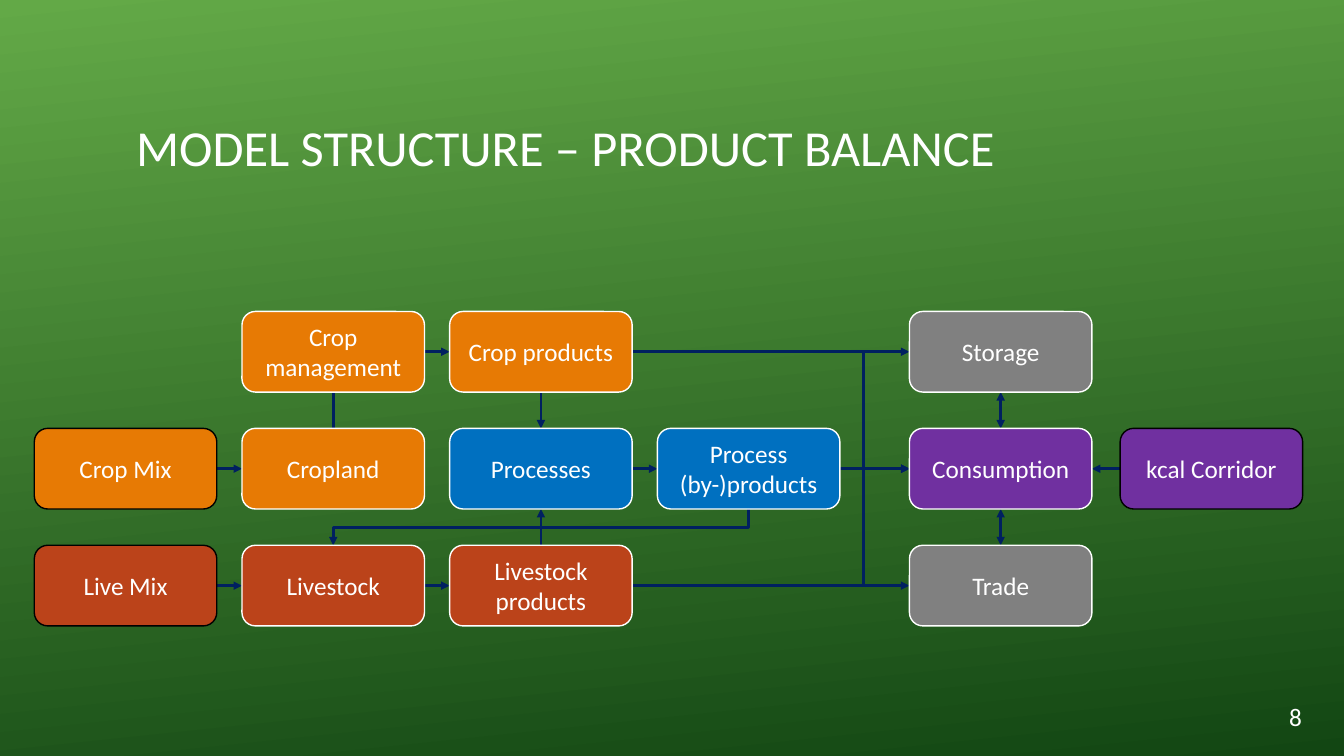
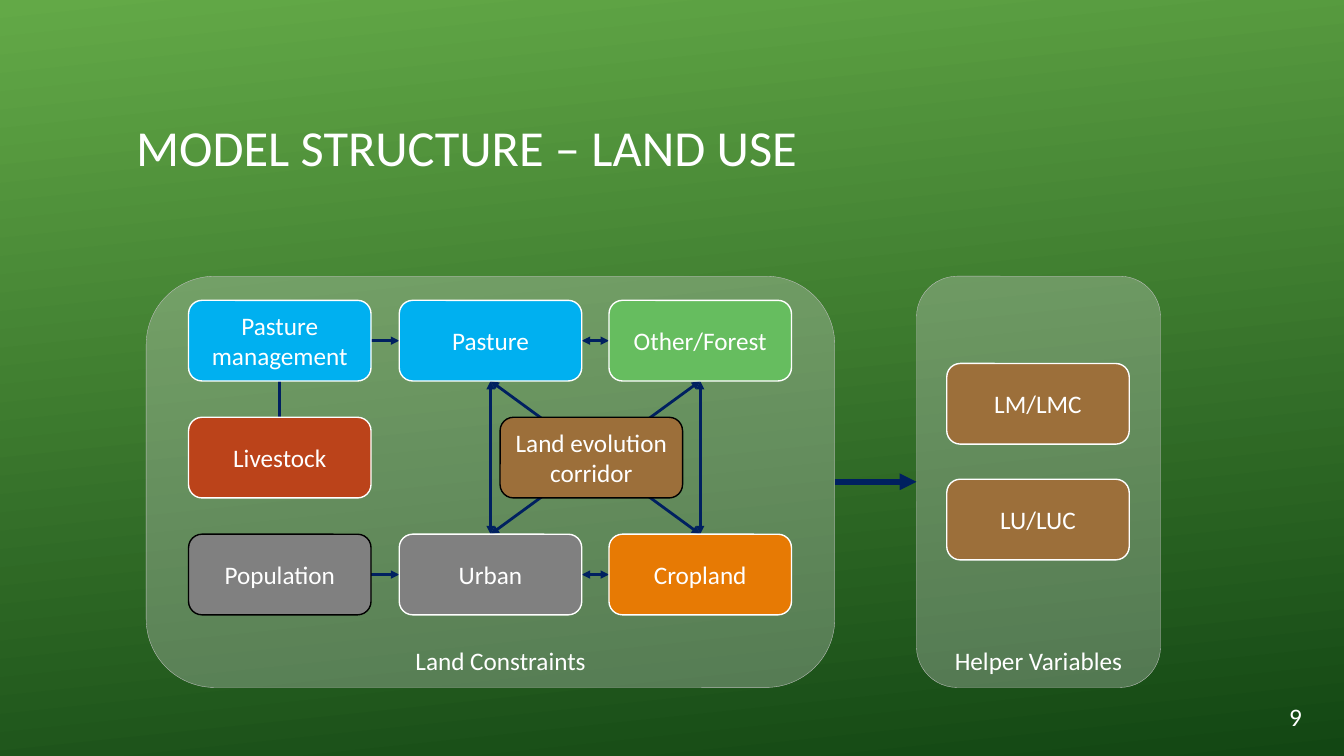
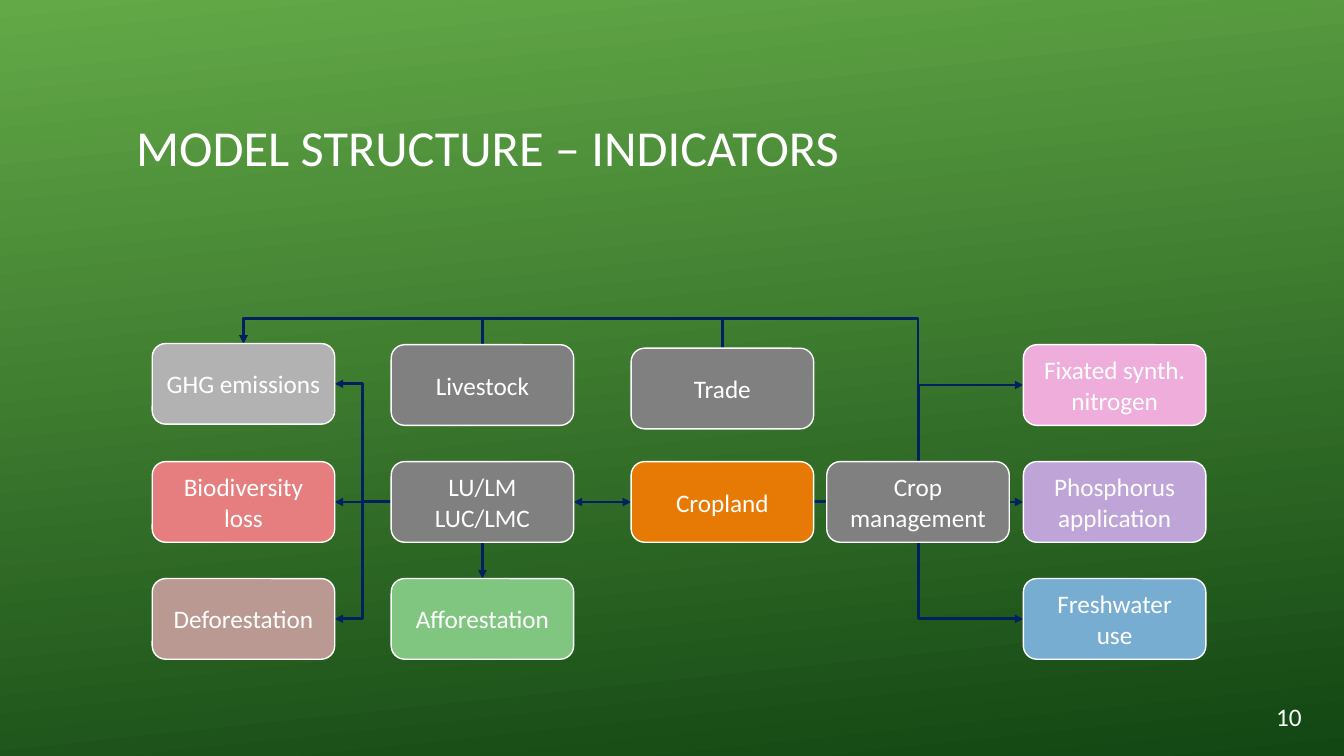
"""Build three flow diagrams of a land and food model."""
from lxml.etree import SubElement as Sub
from pptx import Presentation
from pptx.dml.color import RGBColor as RGB
from pptx.enum.shapes import MSO_CONNECTOR as Link, MSO_SHAPE as Form
from pptx.enum.text import MSO_ANCHOR as Anchor, PP_ALIGN as Align
from pptx.oxml.ns import qn
from pptx.util import Inches, Pt


class Theme:
    font = "Calibri"
    title, body = 36, 18
    top, base = "63A947", "124613"
    white, black, navy = "FFFFFF", "000000", "002060"
    pane, rim = "D9D9D9", "BFBFBF"
    orange, rust, gray, brown = "E77A04", "BB431A", "808080", "9C6F3A"
    blue, purple, sky, leaf = "0070C0", "7030A0", "00B0F0", "66BD5F"
    coral, pink, lilac, water = "E67D7E", "EEADDA", "BEA4D7", "78ADD2"
    clay, mint, silver = "BA9993", "80C680", "B2B2B2"


WIDE, HIGH, STEP = 1.81, 0.8, 1.16
SIDES = "TLBR"

DECK = [
    {
        "title": "MODEL STRUCTURE – PRODUCT BALANCE",
        "cols": (0.34, 2.4, 4.46, 6.52, 9.02, 11.11),
        "top": 3.09,
        "boxes": [
            ("Crop management", 1, 0, Theme.orange),
            ("Crop products", 2, 0, Theme.orange),
            ("Storage", 4, 0, Theme.gray),
            ("Crop Mix", 0, 1, Theme.orange),
            ("Cropland", 1, 1, Theme.orange),
            ("Processes", 2, 1, Theme.blue),
            ("Process\n(by-)products", 3, 1, Theme.blue),
            ("Consumption", 4, 1, Theme.purple),
            ("kcal Corridor", 5, 1, Theme.purple),
            ("Live Mix", 0, 2, Theme.rust),
            ("Livestock", 1, 2, Theme.rust),
            ("Livestock products", 2, 2, Theme.rust),
            ("Trade", 4, 2, Theme.gray),
        ],
        "dark": ("Crop Mix", "Live Mix", "kcal Corridor"),
        "wires": [
            ("Cropland", "Crop management", "TB", "", None),
            ("Crop management", "Crop products", "RL", ">", None),
            ("Crop Mix", "Cropland", "RL", ">", None),
            ("Live Mix", "Livestock", "RL", ">", None),
            ("Livestock", "Livestock products", "RL", ">", None),
            ("Livestock products", "Processes", "TB", ">", None),
            ("Crop products", "Processes", "BT", ">", None),
            ("Processes", "Process\n(by-)products", "RL", ">", None),
            ("Process\n(by-)products", "Livestock", "BT", ">", 5.23),
            ("Process\n(by-)products", "Consumption", "RL", ">", None),
            ("Crop products", "Storage", "RL", ">", None),
            ("Livestock products", "Trade", "RL", ">", None),
            ("Crop products", "Consumption", "RL", ">", 8.56),
            ("Livestock products", "Consumption", "RL", ">", 8.56),
            ("Storage", "Consumption", "BT", "<>", None),
            ("Consumption", "Trade", "BT", "<>", None),
            ("kcal Corridor", "Consumption", "LR", ">", None),
        ],
    },
    {
        "title": "MODEL STRUCTURE – LAND USE",
        "cols": (1.87, 3.96, 6.04, 4.96, 9.39),
        "top": 2.98,
        "panes": [
            ("Land Constraints", 1.45, 6.83, 1.42, 7.09),
            ("Helper Variables", 9.09, 2.42, 8.97, 2.66),
        ],
        "boxes": [
            ("Pasture management", 0, 0, Theme.sky),
            ("Pasture", 1, 0, Theme.sky),
            ("Other/Forest", 2, 0, Theme.leaf),
            ("Livestock", 0, 1, Theme.rust),
            ("Land evolution corridor", 3, 1, Theme.brown),
            ("Population", 0, 2, Theme.gray),
            ("Urban", 1, 2, Theme.gray),
            ("Cropland", 2, 2, Theme.orange),
            ("LM/LMC", 4, 0.54, Theme.brown),
            ("LU/LUC", 4, 1.53, Theme.brown),
        ],
        "dark": ("Land evolution corridor", "Population"),
        "wires": [
            ("Livestock", "Pasture management", "TB", "", None),
            ("Pasture management", "Pasture", "RL", ">", None),
            ("Pasture", "Other/Forest", "RL", "<>", None),
            ("Population", "Urban", "RL", ">", None),
            ("Urban", "Cropland", "RL", "<>", None),
            ("Pasture", "Urban", "BT", "<>", None),
            ("Other/Forest", "Cropland", "BT", "<>", None),
            ("Urban", "Other/Forest", "TB", "<>", None),
            ("Pasture", "Cropland", "BT", "<>", None),
            ("Land Constraints", "Helper Variables", "RL", ">", None),
        ],
    },
    {
        "title": "MODEL STRUCTURE – INDICATORS",
        "cols": (1.51, 3.88, 6.26, 8.2, 10.15),
        "top": 3.42,
        "boxes": [
            ("GHG emissions", 0, -0.01, Theme.silver),
            ("Livestock", 1, 0, Theme.gray),
            ("Trade", 2, 0.03, Theme.gray),
            ("Fixated synth. nitrogen", 4, 0, Theme.pink),
            ("Biodiversity loss", 0, 1, Theme.coral),
            ("LU/LM\nLUC/LMC", 1, 1, Theme.gray),
            ("Cropland", 2, 1, Theme.orange),
            ("Crop management", 3, 1, Theme.gray),
            ("Phosphorus application", 4, 1, Theme.lilac),
            ("Deforestation", 0, 2, Theme.clay),
            ("Afforestation", 1, 2, Theme.mint),
            ("Freshwater use", 4, 2, Theme.water),
        ],
        "wires": [
            ("Crop management", "GHG emissions", "TT", ">", 3.16),
            ("Trade", "GHG emissions", "TT", ">", 3.16),
            ("Livestock", "GHG emissions", "TT", ">", 3.16),
            ("Cropland", "Phosphorus application", "RL", ">", None),
            ("Cropland", "Fixated synth. nitrogen", "RL", ">", 9.11),
            ("Cropland", "Freshwater use", "RL", ">", 9.11),
            ("LU/LM\nLUC/LMC", "Cropland", "RL", "<>", None),
            ("LU/LM\nLUC/LMC", "Afforestation", "BT", ">", None),
            ("LU/LM\nLUC/LMC", "Biodiversity loss", "LR", ">", None),
            ("LU/LM\nLUC/LMC", "GHG emissions", "LR", ">", 3.6),
            ("LU/LM\nLUC/LMC", "Deforestation", "LR", ">", 3.6),
        ],
    },
]


def block(slide, text, at, fill=None, edge=Theme.white, thick=1, align=Align.CENTER):
    """Add a rounded box, or a plain text box when there is no fill."""
    at = [Inches(n) for n in at]
    if fill:
        shape = slide.shapes.add_shape(Form.ROUNDED_RECTANGLE, *at)
        shape.shadow.inherit = False
        shape.fill.solid()
        shape.fill.fore_color.rgb = RGB.from_string(fill)
        shape.line.color.rgb = RGB.from_string(edge)
        shape.line.width = Pt(thick)
    else:
        shape = slide.shapes.add_textbox(*at)
    frame = shape.text_frame
    frame.word_wrap = True
    frame.vertical_anchor = Anchor.MIDDLE
    frame.text = text
    for para in frame.paragraphs:
        para.alignment = align
        para.font.name, para.font.size = Theme.font, Pt(Theme.body)
        para.font.color.rgb = RGB.from_string(Theme.white)
    return shape


def wire(slide, start, end, sides, heads, bend, thick):
    """Glue a line between two shapes, with its middle leg at bend inches."""
    line = slide.shapes.add_connector(Link.ELBOW if bend else Link.STRAIGHT, 0, 0, 0, 0)
    line.begin_connect(start, SIDES.index(sides[0]))
    line.end_connect(end, SIDES.index(sides[1]))
    line.line.color.rgb = RGB.from_string(Theme.navy)
    line.line.width = Pt(thick)
    props = line.element.spPr
    for mark, tag in (("<", "a:headEnd"), (">", "a:tailEnd")):
        if mark in heads:
            Sub(props.find(qn("a:ln")), qn(tag), type="triangle")
    Sub(props, qn("a:effectLst"))
    if bend:
        x, y = line.begin_x, line.begin_y
        dx, dy = line.end_x - x, line.end_y - y
        share = (Inches(bend) - x) / dx if sides[0] in "LR" else (Inches(bend) - y) / dy
        if sides[0] in "TB":
            turn = 1 if dy > 0 else -1
            mx, my, u, v = x + dx / 2, y + dy / 2, turn * dy, -turn * dx
            line.begin_x, line.begin_y = int(mx - u / 2), int(my - v / 2)
            line.end_x, line.end_y = int(mx + u / 2), int(my + v / 2)
            props.find(qn("a:xfrm")).set("rot", str((180 - 90 * turn) * 60000))
        guides = props.find(qn("a:prstGeom")).find(qn("a:avLst"))
        Sub(guides, qn("a:gd"), name="adj1", fmla=f"val {round(share * 100000)}")
    return line


deck = Presentation()
deck.slide_width, deck.slide_height = Inches(13.33), Inches(7.5)
back = deck.slide_master.background.fill
back.gradient()
back.gradient_angle = 276
for stop, tone in zip(back.gradient_stops, (Theme.top, Theme.base)):
    stop.color.rgb = RGB.from_string(tone)
layout = deck.slide_layouts[5]
head = layout.placeholders[0]
head.left, head.top, head.width, head.height = map(Inches, (1.25, 0.68, 10.83, 1.62))

for page, plan in enumerate(DECK, 8):
    slide = deck.slides.add_slide(layout)
    frame = slide.shapes.title.text_frame
    frame.text = plan["title"]
    frame.vertical_anchor = Anchor.MIDDLE
    para = frame.paragraphs[0]
    para.alignment, para.line_spacing = Align.LEFT, 0.9
    font = para.runs[0].font
    font.name, font.size = Theme.font, Pt(Theme.title)
    font.color.rgb = RGB.from_string(Theme.white)

    parts = {}
    panes = plan.get("panes", [])
    for name, left, wide, *span in panes:
        pane = block(slide, "", (left, 2.74, wide, 4.08), Theme.pane, Theme.rim, 0.25)
        tone = pane.element.spPr.find(qn("a:solidFill")).find(qn("a:srgbClr"))
        Sub(tone, qn("a:alpha"), val="30000")
        parts[name] = pane
    for name, col, row, fill in plan["boxes"]:
        at = plan["cols"][col], plan["top"] + row * STEP, WIDE, HIGH
        edge = Theme.black if name in plan.get("dark", ()) else Theme.white
        parts[name] = block(slide, name, at, fill, edge)
    first = parts[plan["boxes"][0][0]].element
    names = [pane[0] for pane in panes]
    for start, end, sides, heads, bend in plan["wires"]:
        thick = 4 if start in names else 2
        line = wire(slide, parts[start], parts[end], sides, heads, bend, thick)
        first.addprevious(line.element)
    for name, left, wide, *span in panes:
        block(slide, name, (span[0], 6.35, span[1], 0.4))
    block(slide, str(page), (10.01, 6.91, 3, 0.4), align=Align.RIGHT)

deck.save("out.pptx")
